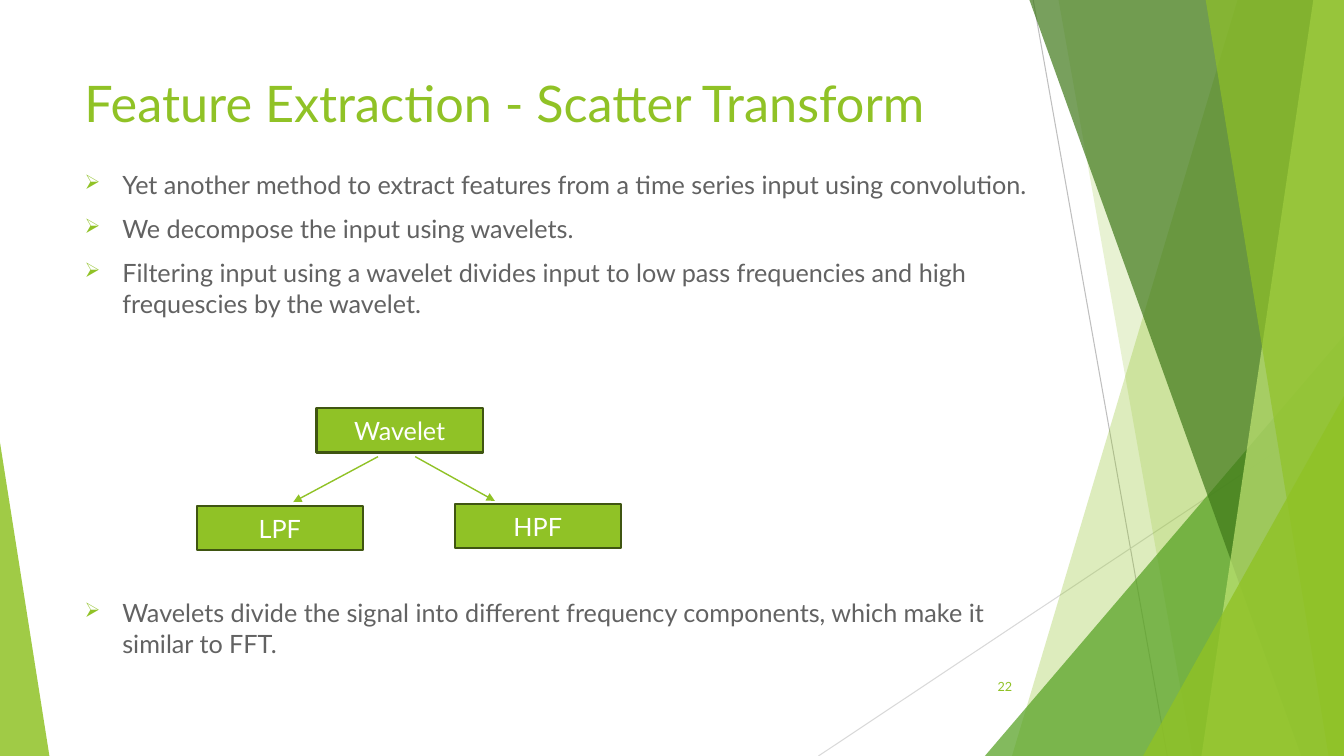
from dataclasses import dataclass

from lxml import etree
from pptx import Presentation
from pptx import util as u
from pptx.dml.color import RGBColor
from pptx.enum import shapes, text
from pptx.oxml import ns

WIDTH, HEIGHT, BLEED = 960, 540, -0.7
FONT = "Lato"
COLOURS = {
    "white": "FFFFFF", "lime": "90C226", "pale": "C0E474", "leaf": "54A021",
    "forest": "3F7819", "outline": "3F5511", "body": "626262",
    "grey": "BFBFBF", "light grey": "D9D9D9",
}


@dataclass
class Band:
    top_x: float
    bottom_x: float
    colour: str
    opacity: int


@dataclass
class Wedge:
    left: float
    top: float
    width: float
    apex: float
    colour: str
    opacity: int


@dataclass
class Line:
    start: tuple[float, float]
    end: tuple[float, float]
    colour: str
    weight: float
    arrow: bool = False


@dataclass
class Node:
    label: str
    left: float
    top: float


@dataclass
class Bullet:
    words: str
    before: float


RAYS = [
    Line((738, 0), (833.8, HEIGHT), "grey", 0.75),
    Line((WIDTH, 290.2), (584.6, HEIGHT), "light grey", 0.75),
]
FACETS = [
    Band(884.2, 722.9, "lime", 30),
    Band(756, 851.8, "lime", 20),
    Wedge(703.5, 239.8, 256.5, 1, "leaf", 72),
    Band(735.1, 929.5, "forest", 70),
    Band(938.2, 858.2, "pale", 70),
    Band(861.1, 949, "lime", 65),
    Wedge(816.5, 283, 143.5, 1, "lime", 80),
    Wedge(0, 316.1, 35.3, 0, "lime", 85),
]
BULLETS = [
    Bullet("Yet another method to extract features from a time series input using convolution.", 0),
    Bullet("We decompose the input using wavelets.", 10),
    Bullet("Filtering input using a wavelet divides input to low pass frequencies "
           "and high frequescies by the wavelet.", 10),
    Bullet("Wavelets divide the signal into different frequency components, "
           "which make it similar to FFT.", 199.5),
]
NODES = [Node("Wavelet", 226.1, 291.6), Node("HPF", 324.7, 360), Node("LPF", 140.4, 361.4)]
ARROWS = [
    Line((270, 326.2), (209.5, 358.6), "lime", 1, True),
    Line((296.6, 326.2), (353.5, 357.8), "lime", 1, True),
]


def colour_of(name: str) -> RGBColor:
    return RGBColor.from_string(COLOURS[name])


def paint(shape, colour: str, opacity: int = 100) -> None:
    shape.shadow.inherit = False
    shape.fill.solid()
    shape.fill.fore_color.rgb = colour_of(colour)
    shape.line.fill.background()
    if opacity < 100:
        tint = shape.fill._xPr.find(ns.qn("a:solidFill"))[0]
        etree.SubElement(tint, ns.qn("a:alpha"), val=str(opacity * 1000))


def write(para, words: str, *, size: float, colour: str,
          align=text.PP_ALIGN.LEFT, before: float = 0) -> None:
    para.alignment = align
    para.space_before = u.Pt(before)
    span = para.add_run()
    span.text = words
    span.font.name = FONT
    span.font.size = u.Pt(size)
    span.font.color.rgb = colour_of(colour)


def add_box(page, left: float, top: float, width: float, height: float,
            anchor=text.MSO_ANCHOR.TOP):
    box = page.shapes.add_textbox(u.Pt(left), u.Pt(top), u.Pt(width), u.Pt(height))
    box.text_frame.word_wrap = True
    box.text_frame.vertical_anchor = anchor
    return box.text_frame


def add_band(page, band: Band) -> None:
    corners = [(WIDTH, BLEED), (WIDTH, HEIGHT), (band.bottom_x, HEIGHT)]
    builder = page.shapes.build_freeform(u.Pt(band.top_x), u.Pt(BLEED))
    builder.add_line_segments([(u.Pt(x), u.Pt(y)) for x, y in corners])
    paint(builder.convert_to_shape(), band.colour, band.opacity)


def add_wedge(page, wedge: Wedge) -> None:
    shape = page.shapes.add_shape(
        shapes.MSO_SHAPE.ISOSCELES_TRIANGLE, u.Pt(wedge.left), u.Pt(wedge.top),
        u.Pt(wedge.width), u.Pt(HEIGHT - wedge.top))
    shape.adjustments[0] = wedge.apex
    paint(shape, wedge.colour, wedge.opacity)


def add_line(page, line: Line) -> None:
    ends = [u.Pt(value) for value in line.start + line.end]
    connector = page.shapes.add_connector(shapes.MSO_CONNECTOR.STRAIGHT, *ends)
    connector.line.color.rgb = colour_of(line.colour)
    connector.line.width = u.Pt(line.weight)
    if line.arrow:
        etree.SubElement(connector.line._get_or_add_ln(), ns.qn("a:tailEnd"), type="triangle")
    etree.SubElement(connector._element.spPr, ns.qn("a:effectLst"))


def add_node(page, node: Node) -> None:
    shape = page.shapes.add_shape(shapes.MSO_SHAPE.RECTANGLE, u.Pt(node.left),
                                  u.Pt(node.top), u.Pt(118.8), u.Pt(31.7))
    paint(shape, "lime")
    shape.line.color.rgb = colour_of("outline")
    shape.line.width = u.Pt(1.5)
    shape.text_frame.vertical_anchor = text.MSO_ANCHOR.MIDDLE
    write(shape.text_frame.paragraphs[0], node.label, size=18, colour="white",
          align=text.PP_ALIGN.CENTER)


def add_bullets(page, bullets: list[Bullet]) -> None:
    frame = add_box(page, 53.3, 117.4, 694.8, 388.8)
    for index, bullet in enumerate(bullets):
        para = frame.add_paragraph() if index else frame.paragraphs[0]
        write(para, bullet.words, size=18, colour="body", before=bullet.before)
        layout = para._p.get_or_add_pPr()
        layout.set("marL", str(u.Pt(27)))
        layout.set("indent", str(u.Pt(-27)))
        tint = etree.SubElement(layout, ns.qn("a:buClr"))
        etree.SubElement(tint, ns.qn("a:srgbClr"), val=COLOURS["lime"])
        etree.SubElement(layout, ns.qn("a:buSzPct"), val="80000")
        etree.SubElement(layout, ns.qn("a:buChar"), char="➢")


def main() -> None:
    deck = Presentation()
    deck.slide_width, deck.slide_height = u.Pt(WIDTH), u.Pt(HEIGHT)
    page = deck.slides.add_slide(deck.slide_layouts[6])
    for ray in RAYS:
        add_line(page, ray)
    for facet in FACETS:
        if isinstance(facet, Band):
            add_band(page, facet)
        else:
            add_wedge(page, facet)
    title = add_box(page, 53.3, 48.2, 676.8, 54)
    write(title.paragraphs[0], "Feature Extraction - Scatter Transform", size=36, colour="lime")
    add_bullets(page, BULLETS)
    for node in NODES:
        add_node(page, node)
    for arrow in ARROWS:
        add_line(page, arrow)
    number = add_box(page, 676.1, 475.9, 54, 28.8, text.MSO_ANCHOR.MIDDLE)
    write(number.paragraphs[0], "22", size=9, colour="lime", align=text.PP_ALIGN.RIGHT)
    deck.save("out.pptx")


if __name__ == "__main__":
    main()
